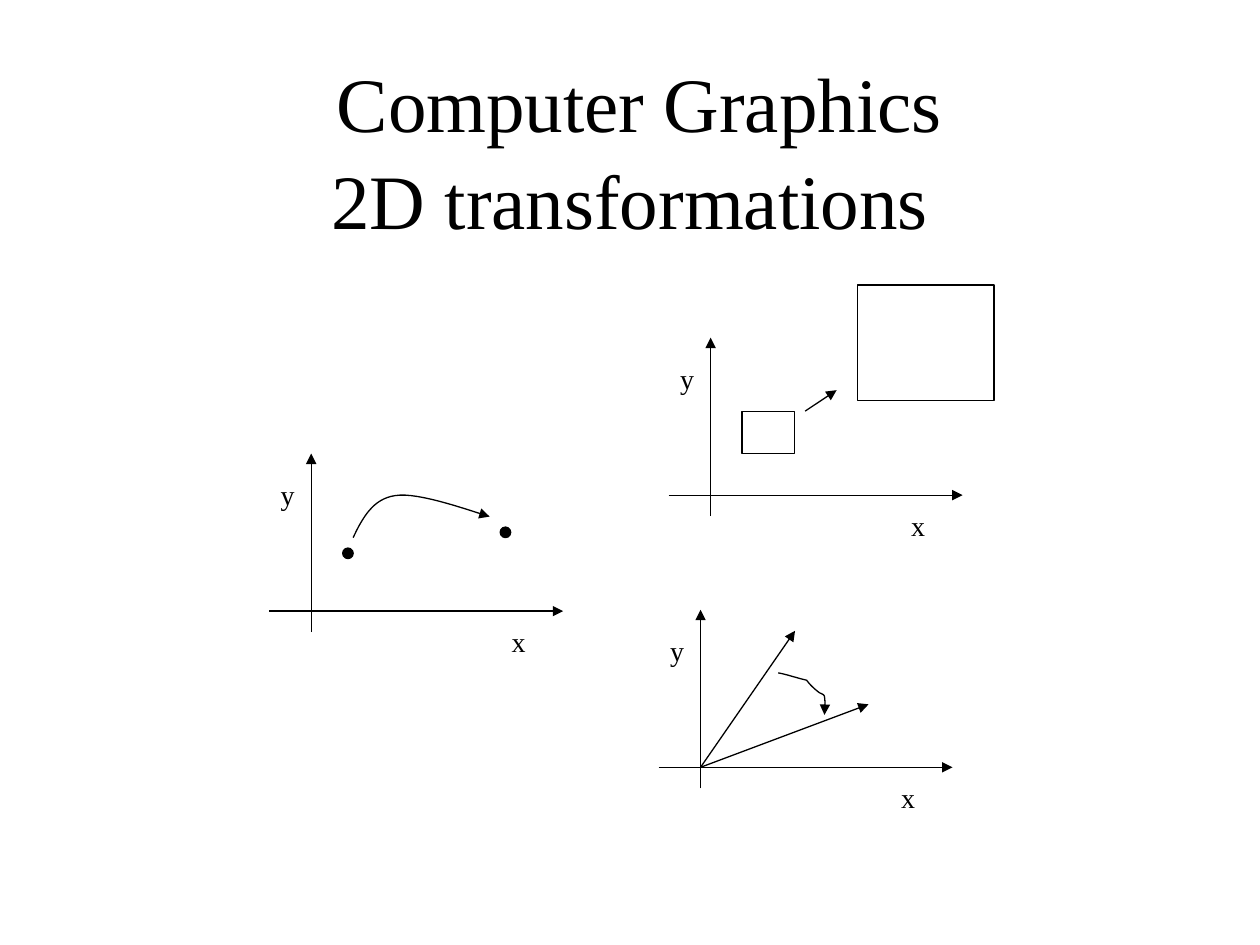
import pptx
import pptx.dml.color
import pptx.enum.shapes
import pptx.enum.text
import pptx.oxml
import pptx.oxml.ns
import pptx.util

BLACK = pptx.dml.color.RGBColor(0, 0, 0)
FONT = "Times New Roman"
U = pptx.util.Inches(1 / 12)  # grid unit: twelve columns or rows to the inch
SHAPE = pptx.enum.shapes.MSO_SHAPE

prs = pptx.Presentation()
prs.slide_width = pptx.util.Inches(10)
prs.slide_height = pptx.util.Inches(7.5)
s = prs.slides.add_slide(prs.slide_layouts[5])


def outline(sp, arrow=True):
    """Give a thin black line, no shadow and, if asked, an arrowhead at the end."""
    sp.line.color.rgb = BLACK
    sp.line.width = pptx.util.Pt(0.75)
    pr = sp._element.spPr
    if arrow:
        tail = pptx.oxml.parse_xml(
            '<a:tailEnd %s type="triangle"/>' % pptx.oxml.ns.nsdecls("a"))
        pr.find(pptx.oxml.ns.qn("a:ln")).append(tail)
    if pr.find(pptx.oxml.ns.qn("a:effectLst")) is None:
        pr.append(pptx.oxml.parse_xml(
            "<a:effectLst %s/>" % pptx.oxml.ns.nsdecls("a")))


def bezier(a, b, c, d, steps=16):
    """Return points along a cubic curve, without its first point."""
    ts = [i / steps for i in range(1, steps + 1)]
    return [tuple((1 - t) ** 3 * a[k] + 3 * t * (1 - t) ** 2 * b[k]
                  + 3 * t * t * (1 - t) * c[k] + t ** 3 * d[k] for k in (0, 1))
            for t in ts]


# Title
title = s.shapes.title
title.left, title.top = int(prs.slide_width * 0.075), int(prs.slide_height * 0.073)
title.width, title.height = int(prs.slide_width * 0.85), int(prs.slide_height / 6)
tf = title.text_frame
tf.text = " Computer Graphics\v2D transformations"
tf.auto_size = pptx.enum.text.MSO_AUTO_SIZE.NONE
tf.vertical_anchor = pptx.enum.text.MSO_ANCHOR.MIDDLE
p = tf.paragraphs[0]
p.alignment = pptx.enum.text.PP_ALIGN.CENTER
p.line_spacing = 1.05
p.font.name, p.font.size = FONT, pptx.util.Pt(44)
p.font.color.rgb = BLACK

# Each diagram: origin in inches, the rest in grid units from that origin
axes = [(-4, 0, 24, 0), (0, 2, 0, -15)]
diagrams = [
    {"origin": (2.47, 4.85),  # translation
     "arrows": [],
     "shapes": [(SHAPE.OVAL, 3, -6, 1, 1), (SHAPE.OVAL, 18, -8, 1, 1)],
     "curve": [(4, -7), (4.9, -8.9), (5.9, -10.7), (8, -11),
               (10.2, -11.4), (15.6, -9.4), (17, -9)]},
    {"origin": (5.64, 3.93),  # scaling
     "arrows": [(9, -8, 12, -10)],
     "shapes": [(SHAPE.RECTANGLE, 3, -8, 5, 4),
                (SHAPE.RECTANGLE, 14, -20, 13, 11)],
     "curve": []},
    {"origin": (5.56, 6.09),  # rotation
     "arrows": [(0, 0, 9, -13), (0, 0, 16, -6)],
     "shapes": [],
     "curve": [(7.4, -9), (8.4, -8.8), (9.2, -8.5), (10.1, -8.3),
               (10.4, -7.9), (10.8, -7.5), (11.2, -7.2),
               (11.4, -7), (11.8, -7), (11.8, -6.7),
               (11.9, -6.2), (11.8, -5.6), (11.8, -5)]},
]

for diagram in diagrams:
    ox, oy = (pptx.util.Inches(v) for v in diagram["origin"])

    for x1, y1, x2, y2 in axes + diagram["arrows"]:
        arrow = s.shapes.add_connector(
            pptx.enum.shapes.MSO_CONNECTOR.STRAIGHT,
            int(ox + x1 * U), int(oy + y1 * U), int(ox + x2 * U), int(oy + y2 * U))
        outline(arrow)

    for text, x, y in (("x", 17.9, 0.7), ("y", -4.1, -13.3)):
        label = s.shapes.add_textbox(int(ox + x * U), int(oy + y * U),
                                     pptx.util.Inches(0.31), pptx.util.Inches(0.37))
        tf = label.text_frame
        tf.text = text
        tf.word_wrap = False
        tf.auto_size = pptx.enum.text.MSO_AUTO_SIZE.SHAPE_TO_FIT_TEXT
        p = tf.paragraphs[0]
        p.alignment = pptx.enum.text.PP_ALIGN.CENTER
        p.font.name, p.font.size = FONT, pptx.util.Pt(16)
        p.font.color.rgb = BLACK

    for kind, x, y, w, h in diagram["shapes"]:
        sp = s.shapes.add_shape(kind, int(ox + x * U), int(oy + y * U), w * U, h * U)
        if kind == SHAPE.OVAL:
            sp.fill.solid()
            sp.fill.fore_color.rgb = BLACK
        else:
            sp.fill.background()
        outline(sp, arrow=False)

    nodes = diagram["curve"]
    if nodes:
        points = [pt for i in range(0, len(nodes) - 1, 3)
                  for pt in bezier(*nodes[i:i + 4])]
        builder = s.shapes.build_freeform(
            int(ox + nodes[0][0] * U), int(oy + nodes[0][1] * U))
        builder.add_line_segments(
            [(int(ox + x * U), int(oy + y * U)) for x, y in points], close=False)
        curve = builder.convert_to_shape()
        curve.fill.background()
        outline(curve)

prs.save("out.pptx")
